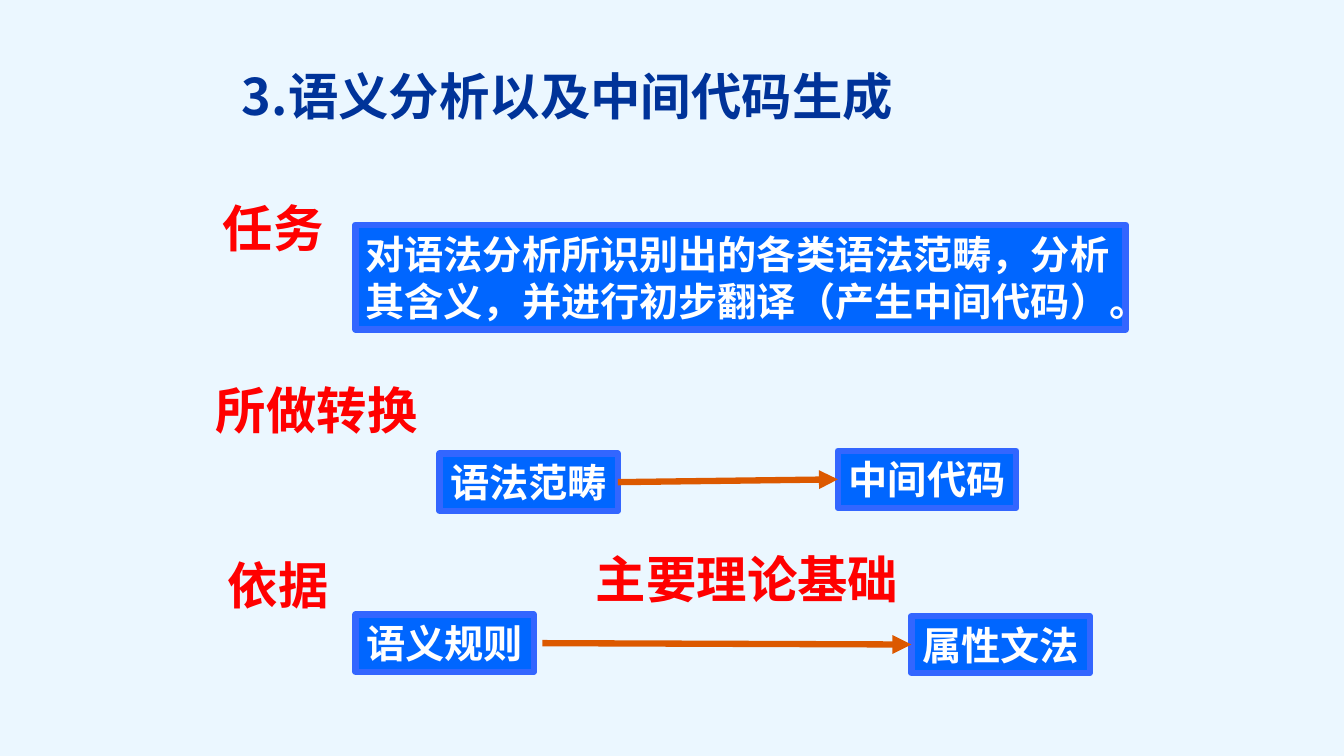
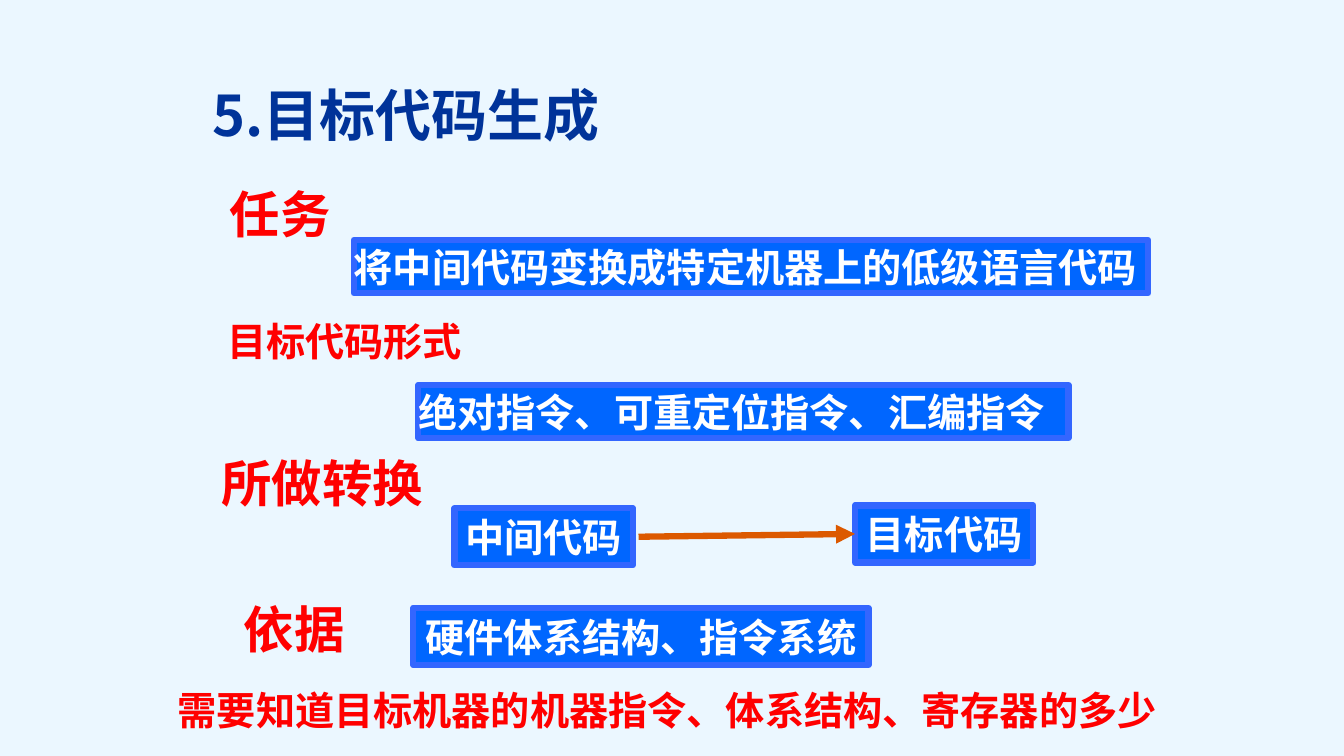
import dataclasses

import lxml.etree
import pptx
import pptx.dml.color
import pptx.enum.shapes
import pptx.enum.text
import pptx.oxml.ns
import pptx.util

Pt = pptx.util.Pt
ALIGN = pptx.enum.text.PP_ALIGN
ANCHOR = pptx.enum.text.MSO_ANCHOR


@dataclasses.dataclass(frozen=True)
class Theme:
    """Colours, type sizes and measures that the slides share."""
    font: str = "Noto Sans CJK SC"
    back: str = "EBF7FF"
    title: str = "003399"
    label: str = "FF0000"
    fill: str = "0066FF"
    edge: str = "3366FF"
    on_fill: str = "FFFFFF"
    arrow: str = "DC5900"
    label_size: float = 36
    text_size: float = 28
    leading: float = 1.2
    chip_advance: float = 28.25
    line: float = 4.5
    pad_x: float = 7.2
    pad_y: float = 3.6


THEME = Theme()


def rgb(code):
    """Turn a hex code into a colour."""
    return pptx.dml.color.RGBColor.from_string(code)


def add_child(parent, tag, **attrs):
    """Append a DrawingML element to a parent element."""
    return lxml.etree.SubElement(parent, pptx.oxml.ns.qn(tag), **attrs)


def write(shape, text, size=THEME.text_size, color=THEME.label, align=ALIGN.LEFT,
          anchor=ANCHOR.MIDDLE, wrap=True, pad=(THEME.pad_x, THEME.pad_y)):
    """Put one formatted bold paragraph into a shape."""
    tf = shape.text_frame
    tf.word_wrap = wrap
    tf.auto_size = pptx.enum.text.MSO_AUTO_SIZE.NONE
    tf.vertical_anchor = anchor
    tf.margin_left = tf.margin_right = Pt(pad[0])
    tf.margin_top = tf.margin_bottom = Pt(pad[1])
    p = tf.paragraphs[0]
    p.alignment = align
    p.space_before = Pt(0)
    p.line_spacing = Pt(size * THEME.leading)
    r = p.add_run()
    r.text = text
    r.font.size = Pt(size)
    r.font.bold = True
    r.font.name = THEME.font
    r.font.color.rgb = rgb(color)
    add_child(r.font._element, "a:ea", typeface=THEME.font)


def line_height(size):
    """Give the height of a one-line box with its padding."""
    return size * THEME.leading + 2 * THEME.pad_y


def add_title(s, text, x, y, w, size):
    """Move and format the title placeholder."""
    sp = s.shapes.title
    sp.left, sp.top, sp.width, sp.height = map(Pt, (x, y, w, line_height(size)))
    write(sp, text, size=size, color=THEME.title, anchor=ANCHOR.TOP)


def add_label(s, text, x, y, size=THEME.label_size):
    """Add a red heading as wide as its characters."""
    w = len(text) * size + 2 * THEME.pad_x
    sp = s.shapes.add_textbox(*map(Pt, (x, y, w, line_height(size))))
    write(sp, text, size=size, align=ALIGN.CENTER, wrap=False)


def add_panel(s, text, x, y, w, h, **style):
    """Add a blue framed rectangle with white text."""
    kind = pptx.enum.shapes.MSO_SHAPE.RECTANGLE
    sp = s.shapes.add_shape(kind, *map(Pt, (x, y, w, h)))
    sp.shadow.inherit = False
    sp.fill.solid()
    sp.fill.fore_color.rgb = rgb(THEME.fill)
    sp.line.color.rgb = rgb(THEME.edge)
    sp.line.width = Pt(THEME.line)
    write(sp, text, color=THEME.on_fill, **style)
    return sp


def add_chip(s, text, x, y):
    """Add a blue panel as wide as its characters."""
    w = len(text) * THEME.chip_advance + 2 * THEME.pad_x
    h = line_height(THEME.text_size)
    return add_panel(s, text, x, y, w, h, align=ALIGN.CENTER, wrap=False)


def add_arrow(s, source, target, gap):
    """Draw an arrow between two chips, joined where it touches."""
    start = source.left + source.width + Pt(gap), source.top + source.height // 2
    end = target.left, target.top + target.height // 2
    kind = pptx.enum.shapes.MSO_CONNECTOR.STRAIGHT
    c = s.shapes.add_connector(kind, *start, *end)
    if not gap:
        c.begin_connect(source, 3)
    c.end_connect(target, 1)
    c.line.color.rgb = rgb(THEME.arrow)
    c.line.width = Pt(THEME.line)
    add_child(c.line._get_or_add_ln(), "a:tailEnd", type="triangle")
    add_child(c._element.spPr, "a:effectLst")


def add_conversion(s, before, after, x, y, shift, drop, gap=0):
    """Place two chips and the arrow that leads from one to the other."""
    source = add_chip(s, before, x, y)
    target = add_chip(s, after, x + shift, y + drop)
    add_arrow(s, source, target, gap)


def add_step(prs):
    """Add a title-only slide for one compiler step."""
    return prs.slides.add_slide(prs.slide_layouts[5])


def add_semantic_step(prs):
    """Build the slide on semantic analysis."""
    s = add_step(prs)
    add_title(s, "3.语义分析以及中间代码生成", 165.6, 43.2, 515.5, 36)
    for text, x, y in (("任务", 152, 137), ("所做转换", 147, 267),
                       ("依据", 155.5, 392.5), ("主要理论基础", 418.5, 388)):
        add_label(s, text, x, y)
    add_panel(s, "对语法分析所识别出的各类语法范畴，分析其含义，并进行初步翻译（产生中间代码）。",
              254, 160.5, 550, 75)
    add_conversion(s, "语法范畴", "中间代码", 314, 324, 284.5, -2)
    add_conversion(s, "语义规则", "属性文法", 254, 439, 397, 1, gap=6)


def add_target_step(prs):
    """Build the slide on target code generation."""
    s = add_step(prs)
    add_title(s, "5.目标代码生成", 144.7, 54, 341.3, 40)
    for text, x, y in (("任务", 157, 127.5), ("所做转换", 151, 319),
                       ("依据", 167, 423.5)):
        add_label(s, text, x, y)
    add_label(s, "目标代码形式", 155, 223, size=THEME.text_size)
    for text, x, y, w in (
            ("将中间代码变换成特定机器上的低级语言代码", 252.7, 171.4, 567.4),
            ("绝对指令、可重定位指令、汇编指令", 298.8, 275, 464.4)):
        add_panel(s, text, x, y, w, 38, pad=(0, 0))
    add_conversion(s, "中间代码", "目标代码", 324.7, 363, 286, -2, gap=4)
    add_chip(s, "硬件体系结构、指令系统", 295.2, 434.2)
    sp = s.shapes.add_textbox(
        *map(Pt, (120, 486.7, 720, line_height(THEME.text_size))))
    write(sp, "需要知道目标机器的机器指令、体系结构、寄存器的多少", anchor=ANCHOR.TOP)


def main():
    """Build and save the presentation."""
    prs = pptx.Presentation()
    prs.slide_width, prs.slide_height = Pt(960), Pt(540)
    fill = prs.slide_master.background.fill
    fill.solid()
    fill.fore_color.rgb = rgb(THEME.back)
    add_semantic_step(prs)
    add_target_step(prs)
    prs.save("out.pptx")


if __name__ == "__main__":
    main()
